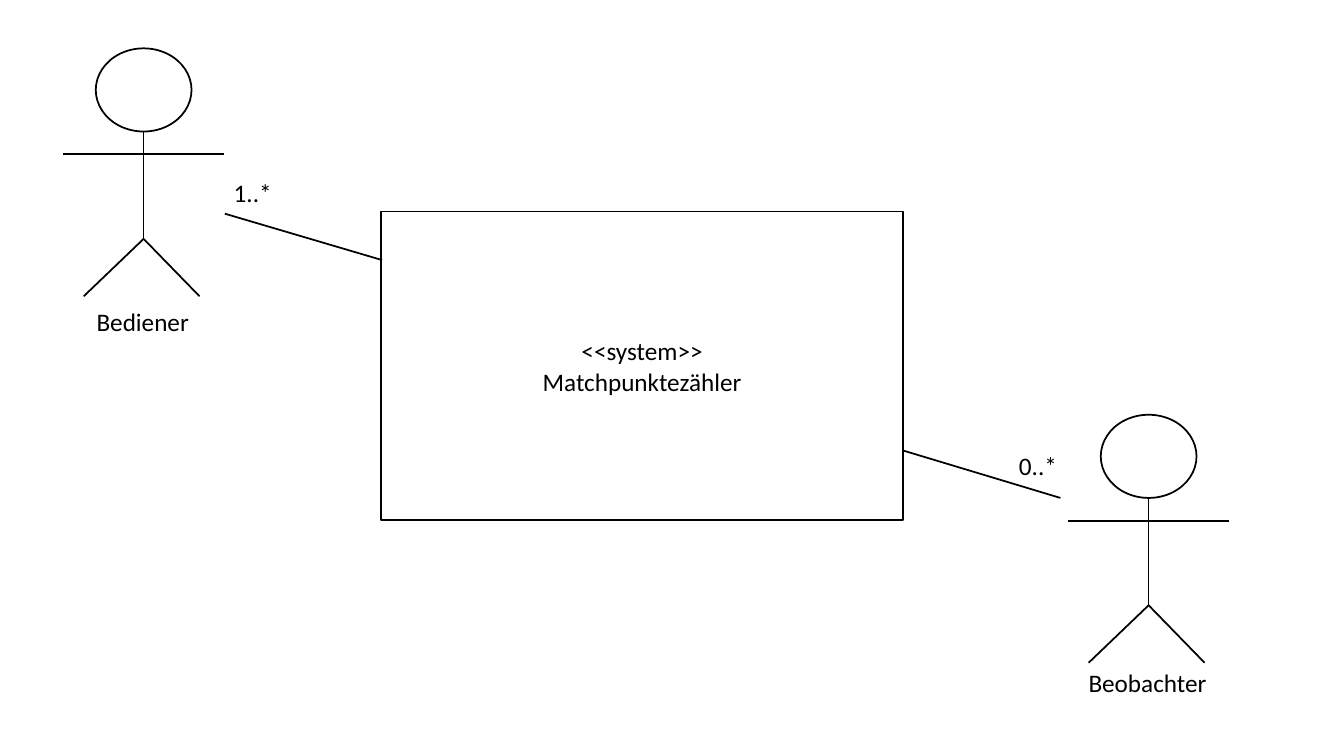
from dataclasses import dataclass

from lxml import etree
from pptx import Presentation
from pptx.dml.color import RGBColor
from pptx.enum.shapes import MSO_CONNECTOR as CONN, MSO_SHAPE as SHAPE
from pptx.enum.text import MSO_AUTO_SIZE as FIT, PP_ALIGN as ALIGN
from pptx.oxml.ns import qn
from pptx.util import Inches, Pt


@dataclass(frozen=True)
class Theme:
    font: str = "Calibri"
    size: float = 18
    ink: RGBColor = RGBColor(0, 0, 0)
    line: float = 1.25
    frame_line: float = 1


THEME = Theme()

# All places are (column, row) on a grid of 0.1 inch cells.
CELL = 0.1
COLUMNS, ROWS = 133.33, 75

SYSTEM_FRAME = (37.8, 21, 51.8, 30.6)
ACTORS = [(14.25, 4.8), (113.95, 41.15)]  # top of each head
ASSOCIATIONS = [
    ((22.3, 21.2), (37.9, 25.8)),
    ((89.6, 44.7), (105.2, 49.4)),
]
LABELS = [  # lines, box, alignment, wrap
    (["<<system>>", "Matchpunktezähler"], (52.5, 32.8, 22.4, 7.1), ALIGN.CENTER, True),
    (["Bediener"], (8.6, 29.9, 11.3, 4), ALIGN.LEFT, False),
    (["1..*"], (22.2, 17.1, 5.8, 4), ALIGN.LEFT, False),
    (["Beobachter"], (107, 65.7, 13.9, 4), ALIGN.LEFT, False),
    (["0..*"], (100.1, 44.2, 5.8, 4), ALIGN.LEFT, False),
]

# Stick figure, measured from the top of the head
HEAD_W, HEAD_H = 9.5, 8.25
HIP = (0, 18.9)
LIMBS = [
    ((0, HEAD_H), HIP),
    ((8, 10.5), (-8, 10.5)),
    (HIP, (-5.95, 24.6)),
    (HIP, (5.55, 24.6)),
]


def grid(*cells):
    return [Inches(c * CELL) for c in cells]


def add_outline(shapes, kind, box, weight):
    sp = shapes.add_shape(kind, *grid(*box))
    sp.shadow.inherit = False
    sp.fill.background()
    sp.line.color.rgb = THEME.ink
    sp.line.width = Pt(weight)


def add_line(shapes, start, end):
    line = shapes.add_connector(CONN.STRAIGHT, *grid(*start, *end))
    line.line.color.rgb = THEME.ink
    line.line.width = Pt(THEME.line)
    etree.SubElement(line._element.spPr, qn("a:effectLst"))


def add_actor(shapes, x, y):
    figure = shapes.add_group_shape().shapes
    head = (x - HEAD_W / 2, y, HEAD_W, HEAD_H)
    add_outline(figure, SHAPE.OVAL, head, THEME.line)
    for (x1, y1), (x2, y2) in LIMBS:
        add_line(figure, (x + x1, y + y1), (x + x2, y + y2))


def add_label(shapes, lines, box, align, wrap):
    tf = shapes.add_textbox(*grid(*box)).text_frame
    tf.text = "\n".join(lines)
    tf.word_wrap = wrap
    tf.auto_size = FIT.SHAPE_TO_FIT_TEXT
    for p in tf.paragraphs:
        p.alignment = align
        for r in p.runs:
            r.font.name = THEME.font
            r.font.size = Pt(THEME.size)
            r.font.color.rgb = THEME.ink


def main():
    prs = Presentation()
    prs.slide_width, prs.slide_height = grid(COLUMNS, ROWS)
    shapes = prs.slides.add_slide(prs.slide_layouts[6]).shapes
    add_outline(shapes, SHAPE.RECTANGLE, SYSTEM_FRAME, THEME.frame_line)
    for actor in ACTORS:
        add_actor(shapes, *actor)
    for association in ASSOCIATIONS:
        add_line(shapes, *association)
    for label in LABELS:
        add_label(shapes, *label)
    prs.save("out.pptx")


if __name__ == "__main__":
    main()
